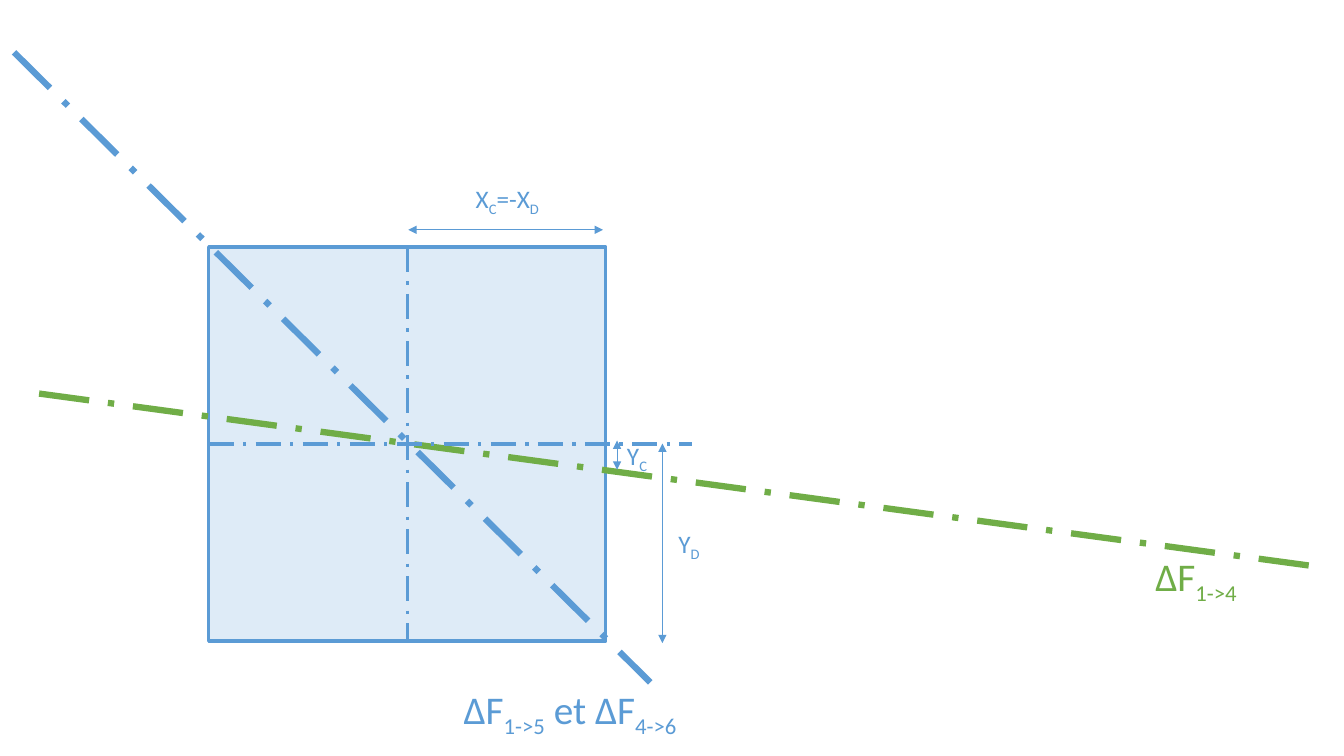
import pptx
import pptx.util
import pptx.dml.color
import pptx.enum.dml
import pptx.enum.shapes
import pptx.enum.text
import pptx.oxml
import pptx.oxml.ns
from pptx.util import Inches

BLUE, GREEN, PALE = "5B9BD5", "70AD47", "DEEBF7"


def paint(target, color):
    """Give a fill, or the fill of a line, one solid colour."""
    target.solid()
    target.fore_color.rgb = pptx.dml.color.RGBColor.from_string(color)


def write(text, left, top, width, height, size=18, color=BLUE):
    """Add a label; the parts between underscores are subscripts."""
    box = slide.shapes.add_textbox(
        Inches(left), Inches(top), Inches(width), Inches(height))
    frame = box.text_frame
    frame.word_wrap = False
    frame.auto_size = pptx.enum.text.MSO_AUTO_SIZE.SHAPE_TO_FIT_TEXT
    for i, part in enumerate(text.split("_")):
        if not part:
            continue
        run = frame.paragraphs[0].add_run()
        run.text = part
        run.font.name = "Calibri"
        run.font.size = pptx.util.Pt(size)
        paint(run.font.fill, color)
        if i % 2:
            run.font._element.set("baseline", "-25000")


deck = pptx.Presentation()
deck.slide_width, deck.slide_height = Inches(13.33), Inches(7.5)
slide = deck.slides.add_slide(deck.slide_layouts[6])

# Square section
square = slide.shapes.add_shape(
    pptx.enum.shapes.MSO_SHAPE.RECTANGLE,
    Inches(2.07), Inches(2.45), Inches(3.94), Inches(3.91))
square.shadow.inherit = False
paint(square.fill, PALE)
paint(square.line.fill, BLUE)
square.line.width = pptx.util.Pt(2.25)

# Axes and dimensions: ends, colour, width, arrows, joined sides of the square
lines = [
    (0.14, 0.52, 6.45, 6.77, BLUE, 4.5, False, None, None),
    (12.98, 5.61, 0.28, 3.89, GREEN, 4.5, False, None, None),
    (4.04, 2.45, 4.04, 6.36, BLUE, 2.25, False, 0, 2),
    (4.05, 2.28, 5.98, 2.28, BLUE, 0.5, True, None, None),
    (6.12, 4.37, 6.12, 4.66, BLUE, 0.5, True, None, None),
    (2.07, 4.4, 6.86, 4.4, BLUE, 2.25, False, 1, None),
    (6.57, 4.4, 6.57, 6.38, BLUE, 0.5, True, None, None),
]
for x1, y1, x2, y2, color, width, arrows, start, end in lines:
    line = slide.shapes.add_connector(
        pptx.enum.shapes.MSO_CONNECTOR.STRAIGHT,
        Inches(x1), Inches(y1), Inches(x2), Inches(y2))
    if start is not None:
        line.begin_connect(square, start)
        line.end_y = Inches(y2) if end is not None else line.begin_y
    if end is not None:
        line.end_connect(square, end)
    paint(line.line.fill, color)
    line.line.width = pptx.util.Pt(width)
    if arrows:
        stroke = line.line._get_or_add_ln()
        for tag in ("a:headEnd", "a:tailEnd"):
            tip = pptx.oxml.parse_xml(
                f'<{tag} {pptx.oxml.ns.nsdecls("a")} type="triangle"/>')
            stroke.append(tip)
    else:
        line.line.dash_style = pptx.enum.dml.MSO_LINE.LONG_DASH_DOT
    line._element.spPr.append(pptx.oxml.parse_xml(
        f'<a:effectLst {pptx.oxml.ns.nsdecls("a")}/>'))

# Labels
write("ΔF_1->5_ et ΔF_4->6_", 4.5, 6.75, 2.46, 0.57, size=28)
write("ΔF_1->4_", 11.36, 5.43, 1.08, 0.57, size=28, color=GREEN)
write("X_C_=-X_D_", 4.62, 1.77, 0.85, 0.4)
write("Y_C_", 6.12, 4.32, 0.41, 0.4)
write("Y_D_", 6.63, 5.19, 0.43, 0.4)

deck.save("out.pptx")
